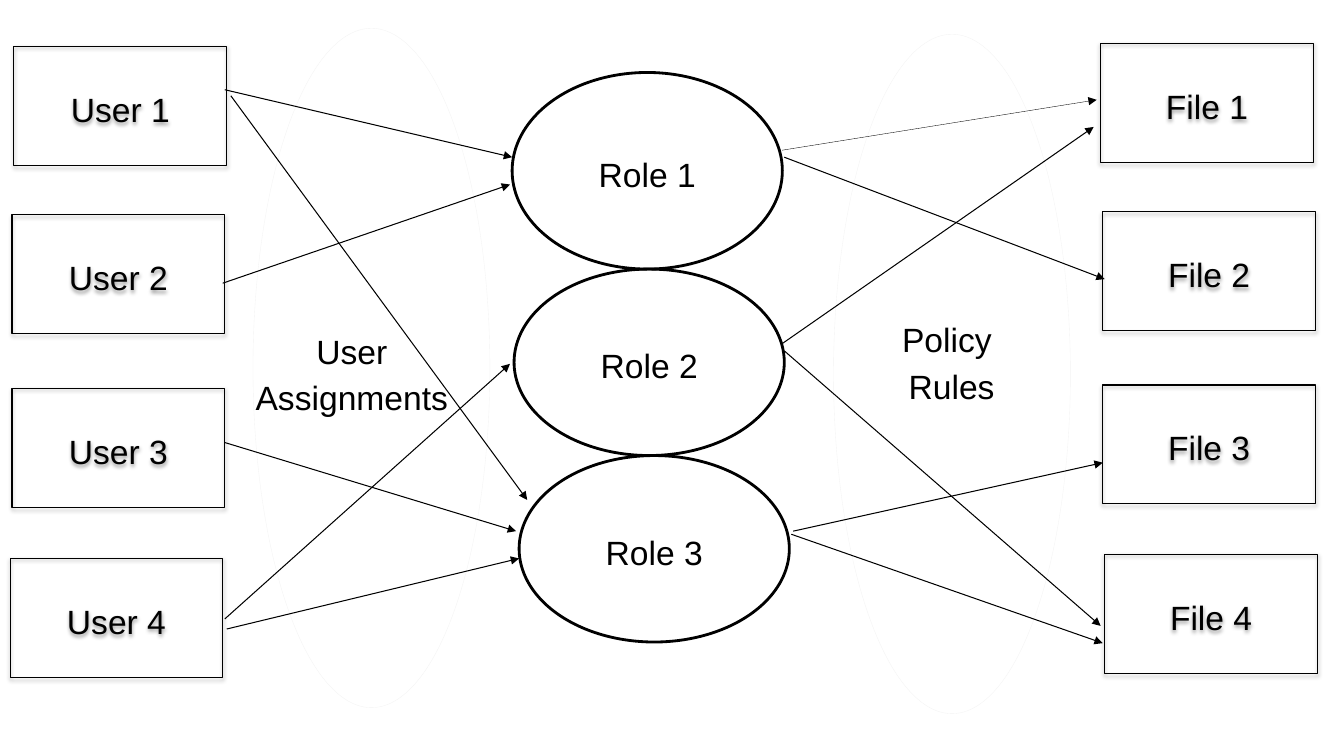
import pptx
import pptx.util
import pptx.dml.color
import pptx.enum.shapes
import pptx.enum.text
import pptx.oxml
import pptx.oxml.ns

Pt = pptx.util.Pt
SHAPES = pptx.enum.shapes.MSO_SHAPE
BLACK = "000000"
FAINT = "F4F4F4"
BOX_SIZE = (152, 85)
USERS = [(10, 33), (8.6, 153.4), (8.6, 277.2), (7.2, 398.9)]
FILES = [(786.2, 31), (787.7, 151.2), (787.7, 275), (789.1, 396)]
ROLES = [(365.8, 51.8, 140.4), (367.2, 192.2, 133.2), (370.8, 325.4, 133.2)]
ROLE_WIDTH = 193
STAGES = [(180.7, 20.2), (595.4, 24.5)]
STAGE_SIZE = (169.2, 485.3)
ASSIGNMENTS = [
    (160.6, 64.1, 365.8, 112.3),
    (164.9, 68.4, 376.6, 357.1),
    (159.1, 202.3, 364.3, 131.8),
    (160.6, 316.1, 368.6, 379.4),
    (160.6, 442.1, 364.3, 259.9),
    (162, 449.3, 370.8, 398.9),
]
RULES = [
    (560.2, 112.3, 789.1, 199.4),
    (558.7, 245.5, 781.2, 90.7),
    (560.2, 250.6, 786.2, 447.1),
    (566.6, 379.4, 787.7, 330.5),
    (565.2, 381.6, 787.7, 459.4),
]
THIN_RULE = (558.7, 107.3, 783.4, 71.3)


def color(value):
    return pptx.dml.color.RGBColor.from_string(value)


def add_xml(parent, tag, content="", attributes=""):
    names = pptx.oxml.ns.nsdecls("a")
    element = pptx.oxml.parse_xml(
        f"<a:{tag} {names} {attributes}>{content}</a:{tag}>")
    parent.append(element)


def write_lines(frame, lines):
    frame.word_wrap = True
    for index, line in enumerate(lines):
        para = frame.add_paragraph() if index else frame.paragraphs[0]
        para.alignment = pptx.enum.text.PP_ALIGN.CENTER
        para.line_spacing = 1.15
        span = para.add_run()
        span.text = line
        span.font.name = "Arial"
        span.font.size = Pt(24)
        span.font.color.rgb = color(BLACK)


def add_outline(page, kind, place, size, width, line=BLACK):
    shape = page.shapes.add_shape(kind, *map(Pt, place + size))
    shape.shadow.inherit = False
    shape.fill.background()
    shape.line.color.rgb = color(line)
    shape.line.width = Pt(width)
    return shape


def add_label(shape, label):
    shape.text_frame.vertical_anchor = pptx.enum.text.MSO_ANCHOR.MIDDLE
    write_lines(shape.text_frame, [label])


def add_box(page, place, label):
    box = add_outline(page, SHAPES.RECTANGLE, place, BOX_SIZE, 0.75)
    effects = box._element.spPr.find(pptx.oxml.ns.qn("a:effectLst"))
    add_xml(effects, "outerShdw",
            '<a:srgbClr val="000000"><a:alpha val="38000"/></a:srgbClr>',
            f'blurRad="{Pt(3.1)}" dist="{Pt(1.6)}" dir="5400000" rotWithShape="0"')
    add_label(box, label)


def add_role(page, left, top, height, label):
    role = add_outline(page, SHAPES.OVAL, (left, top), (ROLE_WIDTH, height), 2)
    add_label(role, label)


def add_caption(page, place, size, lines):
    caption = page.shapes.add_textbox(*map(Pt, place + size))
    write_lines(caption.text_frame, lines)


def add_arrow(page, ends, width=0.75):
    straight = pptx.enum.shapes.MSO_CONNECTOR.STRAIGHT
    arrow = page.shapes.add_connector(straight, *map(Pt, ends))
    arrow.line.color.rgb = color(BLACK)
    arrow.line.width = Pt(width)
    add_xml(arrow.line._get_or_add_ln(), "tailEnd", attributes='type="triangle"')
    add_xml(arrow._element.spPr, "effectLst")


def main():
    deck = pptx.Presentation()
    deck.slide_width = Pt(960)
    deck.slide_height = Pt(540)
    page = deck.slides.add_slide(deck.slide_layouts[6])

    for place in STAGES:
        add_outline(page, SHAPES.OVAL, place, STAGE_SIZE, 0.25, FAINT)
    for name, places in (("User", USERS), ("File", FILES)):
        for number, place in enumerate(places, 1):
            add_box(page, place, f"{name} {number}")
    for number, role in enumerate(ROLES, 1):
        add_role(page, *role, f"Role {number}")
    add_caption(page, (157.7, 228.2), (187.2, 226.8), ["User", "Assignments"])
    add_caption(page, (597.6, 220.3), (164.2, 218.2), ["Policy ", "Rules"])
    add_arrow(page, THIN_RULE, 0.25)
    for ends in RULES + ASSIGNMENTS:
        add_arrow(page, ends)

    deck.save("out.pptx")


main()
